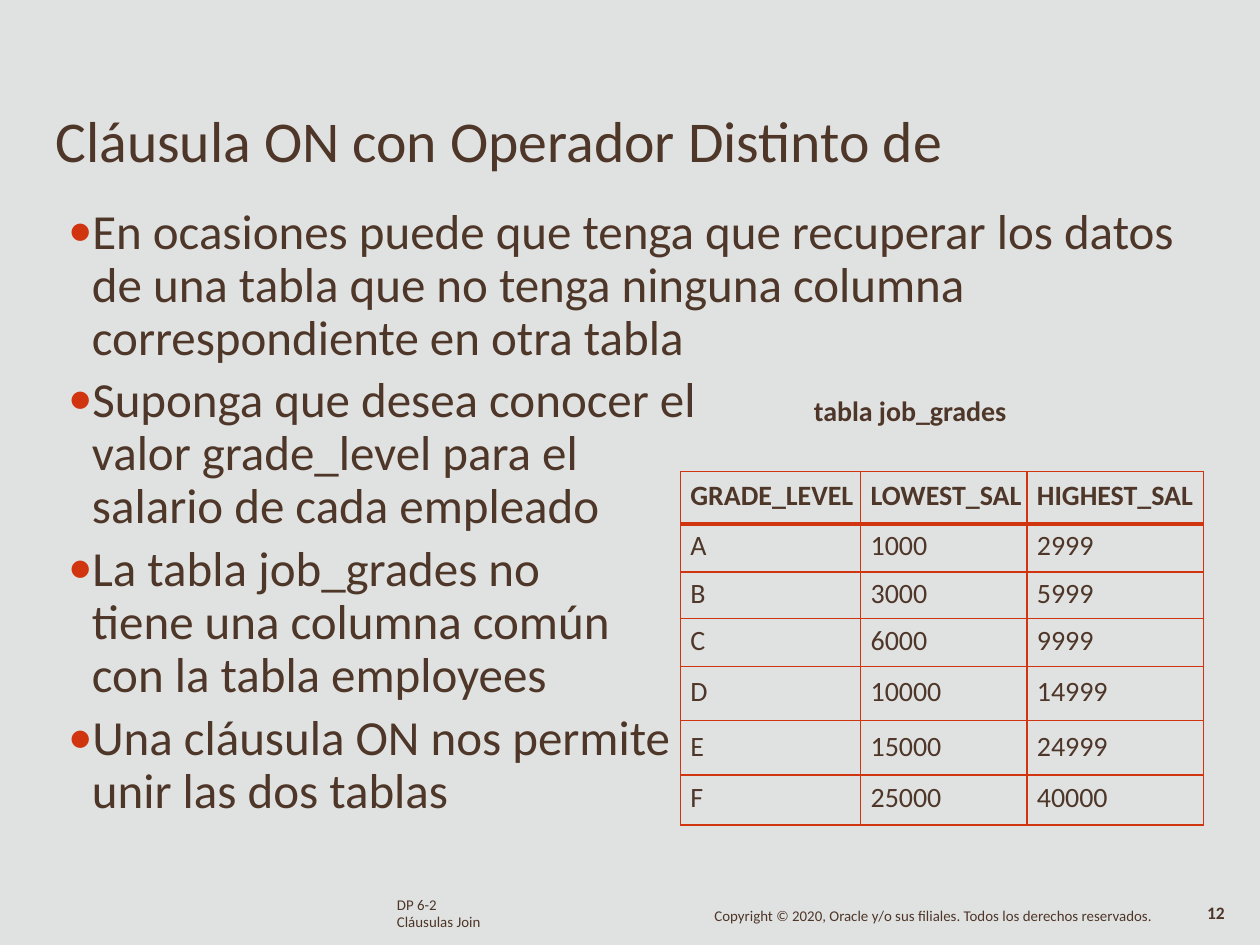
import pptx
import pptx.dml.color
import pptx.enum.text
import pptx.oxml.ns
import pptx.util
from lxml import etree

Inches = pptx.util.Inches
Pt = pptx.util.Pt
COLORS = {"bg": "E0E2E1", "text": "4E3629", "accent": "D1350F"}
FONT = "Calibri"


def rgb(name):
    return pptx.dml.color.RGBColor.from_string(COLORS[name])


def sub(parent, tag, **attrs):
    return etree.SubElement(parent, pptx.oxml.ns.qn(tag), attrs)


def set_frame(tf, top=0):
    tf.word_wrap = True
    tf.auto_size = pptx.enum.text.MSO_AUTO_SIZE.NONE
    tf.vertical_anchor = pptx.enum.text.MSO_ANCHOR.TOP
    tf.margin_left = tf.margin_right = tf.margin_bottom = 0
    tf.margin_top = Inches(top)


def add_run(p, text, size, bold=False):
    r = p.add_run()
    r.text = text
    r.font.name = FONT
    r.font.size = Pt(size)
    r.font.bold = bold
    r.font.color.rgb = rgb("text")


def indent(p, left, first=0):
    pPr = p._p.get_or_add_pPr()
    pPr.set("marL", str(Inches(left)))
    pPr.set("indent", str(Inches(first)))
    return pPr


def add_bullet(p):
    pPr = indent(p, 0.2, -0.19)
    sub(sub(pPr, "a:buClr"), "a:srgbClr", val=COLORS["accent"])
    sub(pPr, "a:buFont", typeface=FONT)
    sub(pPr, "a:buChar", char="•")


def add_title(s, box, text):
    sp = s.shapes.title
    sp.left, sp.top, sp.width, sp.height = map(Inches, box)
    set_frame(sp.text_frame, 0.01)
    p = sp.text_frame.paragraphs[0]
    p.alignment = pptx.enum.text.PP_ALIGN.LEFT
    indent(p, 0.01)
    add_run(p, text, 33)


def add_bullets(s, box, top, items):
    tf = s.shapes.add_textbox(*map(Inches, box)).text_frame
    set_frame(tf, top)
    for i, lines in enumerate(items):
        p = tf.add_paragraph() if i else tf.paragraphs[0]
        add_bullet(p)
        p.line_spacing = Pt(30.3)
        if i:
            p.space_before = Pt(5.8)
        for j, line in enumerate(lines):
            if j:
                p.add_line_break()
            add_run(p, line, 28)


def add_label(s, box, lines, size, bold=False, spacings=(), left=0.01, top=0):
    tf = s.shapes.add_textbox(*map(Inches, box)).text_frame
    set_frame(tf, top)
    for i, line in enumerate(lines):
        p = tf.add_paragraph() if i else tf.paragraphs[0]
        indent(p, left)
        if spacings:
            p.line_spacing = Pt(spacings[i])
        add_run(p, line, size, bold)


def set_borders(cell, widths):
    tcPr = cell._tc.get_or_add_tcPr()
    for side, width in widths.items():
        ln = sub(tcPr, "a:ln" + side, w=str(Pt(width)))
        sub(sub(ln, "a:solidFill"), "a:srgbClr", val=COLORS["accent"])


def add_grades_table(s, box, rows):
    col_widths = (1.43, 1.32, 1.4)
    row_heights = (0.42, 0.38, 0.37, 0.38, 0.43, 0.43, 0.4)
    top_margins = (0.06, 0.04, 0.04, 0.04, 0.07, 0.07, 0.05)
    table = s.shapes.add_table(len(rows), len(col_widths), *map(Inches, box)).table
    table.horz_banding = False
    for col, width in zip(table.columns, col_widths):
        col.width = Inches(width)
    for i, values in enumerate(rows):
        table.rows[i].height = Inches(row_heights[i])
        for j, value in enumerate(values):
            cell = table.cell(i, j)
            cell.margin_left = cell.margin_right = cell.margin_bottom = 0
            cell.margin_top = Inches(top_margins[i])
            set_borders(cell, {"L": 1, "R": 1, "T": 2.25 if i == 1 else 1,
                               "B": 2.25 if i == 0 else 1})
            cell.fill.background()
            p = cell.text_frame.paragraphs[0]
            indent(p, 0.08)
            add_run(p, value, 16, i == 0)


def add_footer(s):
    add_label(s, (3.14, 7.13, 0.69, 0.27), ["DP 6-2", "Cláusulas Join"], 8.5,
              spacings=(8.6, 9.7))
    add_label(s, (9.54, 7.18, 0.2, 0.17), ["12"], 10, True, (10.4,), 0.04)
    add_label(s, (5.66, 7.21, 3.52, 0.15),
              ["Copyright © 2020, Oracle y/o sus filiales. Todos los derechos reservados."],
              8.5, spacings=(9.1,))


def main():
    prs = pptx.Presentation()
    prs.slide_width, prs.slide_height = Inches(10), Inches(7.5)
    s = prs.slides.add_slide(prs.slide_layouts[5])
    s.background.fill.solid()
    s.background.fill.fore_color.rgb = rgb("bg")

    add_title(s, (0.43, 0.82, 7.08, 0.58), "Cláusula ON con Operador Distinto de")
    add_footer(s)
    add_bullets(s, (0.53, 1.55, 8.81, 1.33), 0.09, [
        ["En ocasiones puede que tenga que recuperar los datos de una tabla "
         "que no tenga ninguna columna correspondiente en otra tabla"]])
    add_bullets(s, (0.53, 2.89, 5.01, 3.6), 0.08, [
        ["Suponga que desea conocer el valor grade_level para el salario de cada empleado"],
        ["La tabla job_grades no", "tiene una columna común", "con la tabla employees"],
        ["Una cláusula ON nos permite unir las dos tablas"]])
    add_label(s, (6.45, 3.11, 1.56, 0.29), ["tabla job_grades"], 16, True, top=0.01)
    add_grades_table(s, (5.4, 3.74, 4.15, 2.81), [
        ("GRADE_LEVEL", "LOWEST_SAL", "HIGHEST_SAL"),
        ("A", "1000", "2999"),
        ("B", "3000", "5999"),
        ("C", "6000", "9999"),
        ("D", "10000", "14999"),
        ("E", "15000", "24999"),
        ("F", "25000", "40000")])
    prs.save("out.pptx")


if __name__ == "__main__":
    main()
